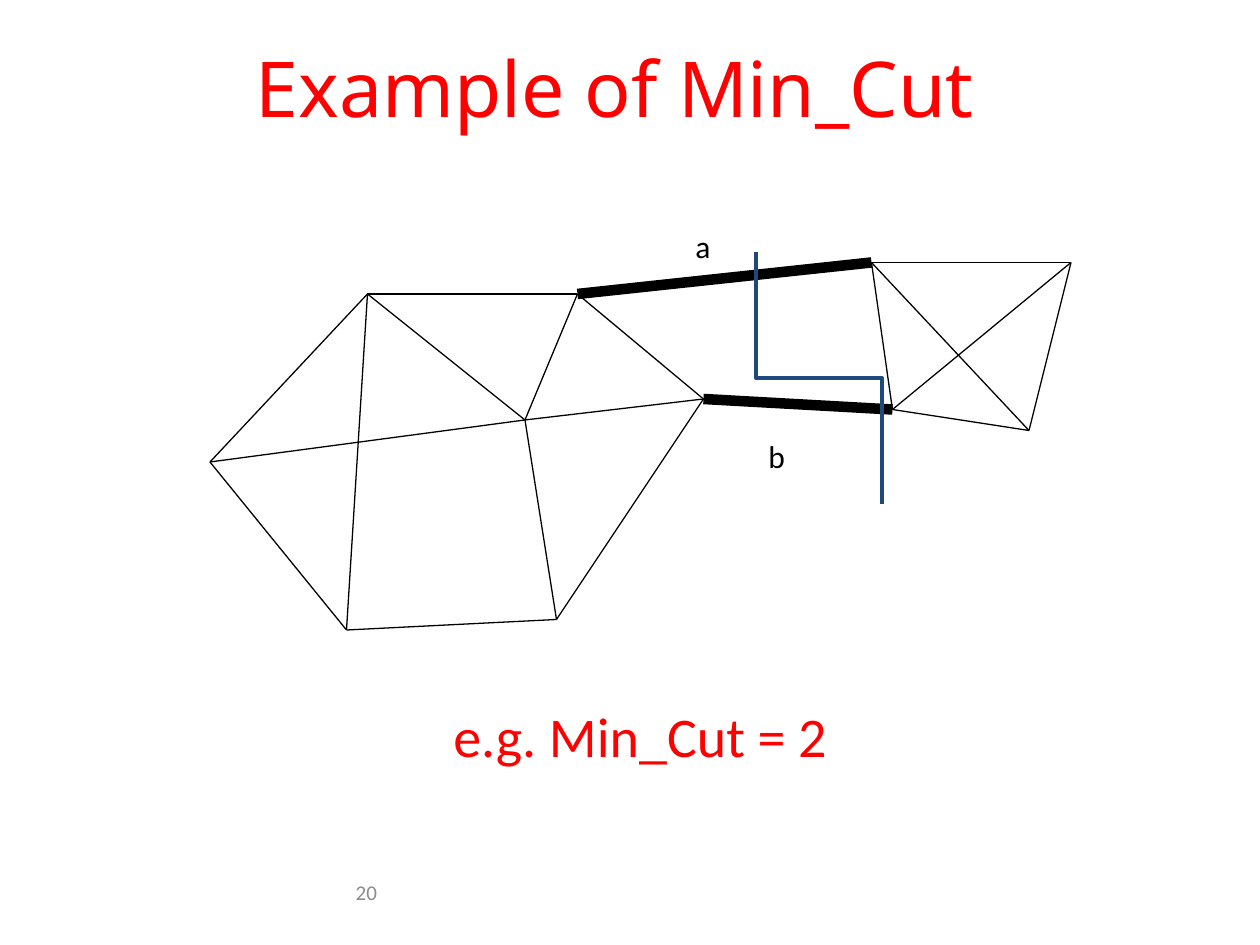
from lxml import etree
from pptx import Presentation
from pptx.dml.color import RGBColor
from pptx.enum.shapes import MSO_CONNECTOR
from pptx.enum.text import MSO_ANCHOR, PP_ALIGN
from pptx.oxml.ns import qn
from pptx.util import Inches, Pt

RED = RGBColor(0xFF, 0x00, 0x00)
BLACK = RGBColor(0x00, 0x00, 0x00)
NAVY = RGBColor(0x1F, 0x49, 0x7D)
GRAY = RGBColor(0x8C, 0x8C, 0x8C)

GRID = 1 / 12
THIN, THICK = 0.75, 6

NODES = {
    "west": (20, 44), "northwest": (35, 28), "southwest": (33, 60),
    "center": (50, 40), "south": (53, 59), "north": (55, 28), "east": (67, 38),
    "right_top": (83, 25), "right_bottom": (85, 39),
    "far_top": (102, 25), "far_bottom": (98, 41),
}
EDGES = [
    ("northwest", "west"), ("west", "southwest"), ("northwest", "southwest"),
    ("northwest", "center"), ("center", "south"), ("southwest", "south"),
    ("west", "center"), ("northwest", "north"), ("north", "center"),
    ("north", "east"), ("center", "east"), ("south", "east"),
    ("right_top", "right_bottom"), ("right_top", "far_top"),
    ("far_top", "right_bottom"), ("right_top", "far_bottom"),
    ("far_top", "far_bottom"), ("right_bottom", "far_bottom"),
]
CUT_EDGES = [("north", "right_top"), ("east", "right_bottom")]

CUT_START = (5.75, 1.67)
CUT_CURVES = [
    ((6.02, 1.95), (6.29, 2.24), (6.33, 2.42)),
    ((6.38, 2.6), (5.96, 2.57), (6, 2.75)),
    ((6.04, 2.93), (6.47, 3.36), (6.58, 3.5)),
    ((6.69, 3.64), (6.64, 3.57), (6.67, 3.58)),
]
CURVE_STEPS = 16

LEFT, CENTER, RIGHT = PP_ALIGN.LEFT, PP_ALIGN.CENTER, PP_ALIGN.RIGHT
TOP, MIDDLE = MSO_ANCHOR.TOP, MSO_ANCHOR.MIDDLE
TITLE = ("Example of Min_Cut", (0.42, 0.21, 8.92, 0.96), "Noto Sans", 44, RED, CENTER, MIDDLE, True)
RESULT = ("e.g. Min_Cut = 2", (3.5, 5.58, 3.33, 0.59), "Calibri", 32, RED, LEFT, TOP, True)
CUT_LABELS = [
    ("a", (5.42, 1.75, 0.34, 0.4), "Calibri", 18, BLACK, LEFT, TOP, False),
    ("b", (6, 3.42, 0.34, 0.4), "Calibri", 18, BLACK, LEFT, TOP, False),
]
PAGE_NUMBER = ("20", (1.67, 6.83, 1.42, 0.5), "Calibri", 12, GRAY, RIGHT, MIDDLE, True)


def add_text(slide, text, place, font, size, color, align, anchor, wrap):
    frame = slide.shapes.add_textbox(*map(Inches, place)).text_frame
    frame.word_wrap = wrap
    frame.vertical_anchor = anchor
    paragraph = frame.paragraphs[0]
    paragraph.text = text
    paragraph.alignment = align
    paragraph.font.name = font
    paragraph.font.size = Pt(size)
    paragraph.font.color.rgb = color
    return paragraph


def add_edge(slide, start, end, width):
    corners = [Inches(unit * GRID) for unit in NODES[start] + NODES[end]]
    edge = slide.shapes.add_connector(MSO_CONNECTOR.STRAIGHT, *corners)
    edge.line.color.rgb = BLACK
    edge.line.width = Pt(width)
    etree.SubElement(edge._element.spPr, qn("a:effectLst"))


def bezier_point(points, t):
    weights = ((1 - t) ** 3, 3 * t * (1 - t) ** 2, 3 * t ** 2 * (1 - t), t ** 3)
    return tuple(sum(w * p[axis] for w, p in zip(weights, points)) for axis in (0, 1))


def add_cut(slide):
    start, trace = CUT_START, []
    for curve in CUT_CURVES:
        trace += [bezier_point((start, *curve), step / CURVE_STEPS)
                  for step in range(1, CURVE_STEPS + 1)]
        start = curve[-1]
    builder = slide.shapes.build_freeform(*CUT_START, scale=Inches(1))
    builder.add_line_segments(trace, close=False)
    cut = builder.convert_to_shape()
    cut.shadow.inherit = False
    cut.fill.background()
    cut.line.color.rgb = NAVY
    cut.line.width = Pt(2.25)


def main():
    deck = Presentation()
    deck.slide_width, deck.slide_height = Inches(10), Inches(7.5)
    slide = deck.slides.add_slide(deck.slide_layouts[6])

    add_text(slide, *TITLE)
    for edges, width in ((EDGES, THIN), (CUT_EDGES, THICK)):
        for start, end in edges:
            add_edge(slide, start, end, width)
    add_text(slide, *RESULT).line_spacing = 0.9
    for label in CUT_LABELS:
        add_text(slide, *label)
    add_cut(slide)
    add_text(slide, *PAGE_NUMBER)

    deck.save("out.pptx")


if __name__ == "__main__":
    main()
